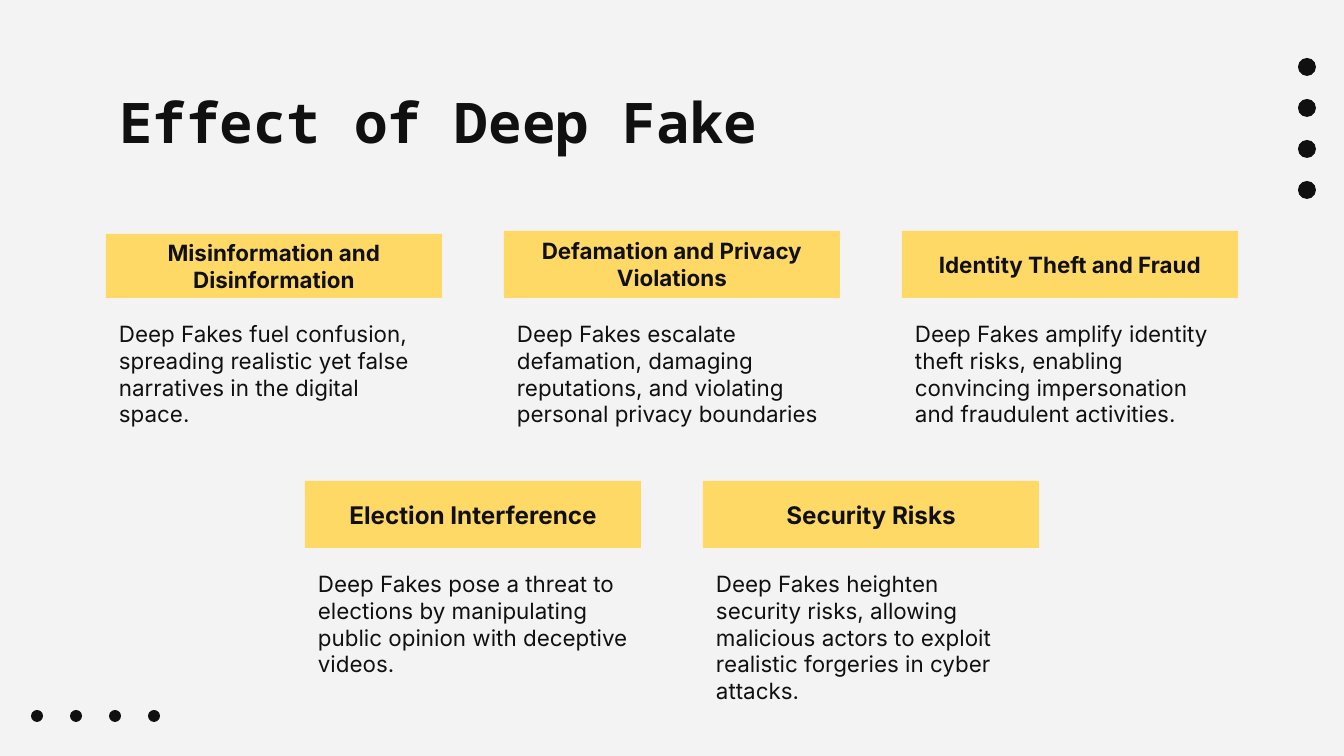
"""Build the slide on the effects of deep fakes."""
from dataclasses import dataclass

from pptx import Presentation
from pptx.dml.color import RGBColor
from pptx.enum.shapes import MSO_SHAPE
from pptx.enum.text import MSO_ANCHOR, MSO_AUTO_SIZE, PP_ALIGN
from pptx.util import Pt

TITLE = "Effect of Deep Fake"
ROWS = [
    {"left": 106, "bottom": 298, "heading_size": 12, "cards": [
        ("Misinformation and Disinformation", 64,
         "Deep Fakes fuel confusion, spreading realistic yet false narratives in the digital space."),
        ("Defamation and Privacy Violations", 67,
         "Deep Fakes escalate defamation, damaging reputations, and violating personal privacy boundaries"),
        ("Identity Theft and Fraud", 67,
         "Deep Fakes amplify identity theft risks, enabling convincing impersonation and fraudulent activities."),
    ]},
    {"left": 305, "bottom": 548, "heading_size": 13, "cards": [
        ("Election Interference", 67,
         "Deep Fakes pose a threat to elections by manipulating public opinion with deceptive videos."),
        ("Security Risks", 67,
         "Deep Fakes heighten security risks, allowing malicious actors to exploit realistic forgeries in cyber attacks."),
    ]},
]
DOT_ROWS = [
    {"left": 31, "top": 710, "size": 12, "step_x": 39, "step_y": 0},
    {"left": 1298, "top": 58, "size": 18, "step_x": 0, "step_y": 41},
]
DOT_COUNT = 4
CARD_WIDTH, CARD_STEP = 336, 398
BODY_GAP, BODY_HEIGHT = 9, 140
INSET = 13


@dataclass(frozen=True)
class Theme:
    """Colours, fonts and type sizes."""
    background: RGBColor = RGBColor.from_string("F3F3F3")
    ink: RGBColor = RGBColor.from_string("111010")
    accent: RGBColor = RGBColor.from_string("FFD966")
    title_font: str = "Noto Sans Mono"
    text_font: str = "Inter"
    title_size: int = 30
    body_size: int = 12


THEME = Theme()


def px(value):
    """Turn pixels into EMU."""
    return round(value * 914400 / 134.4)


def box(left, top, width, height):
    """Turn a pixel rectangle into EMU."""
    return [px(value) for value in (left, top, width, height)]


def write(shape, text, *, size, font=THEME.text_font, bold=False,
          align=PP_ALIGN.LEFT, anchor=MSO_ANCHOR.TOP, top_inset=INSET):
    """Put formatted text into a shape."""
    frame = shape.text_frame
    frame.word_wrap = True
    frame.auto_size = MSO_AUTO_SIZE.NONE
    frame.vertical_anchor = anchor
    frame.margin_left = frame.margin_right = frame.margin_bottom = px(INSET)
    frame.margin_top = px(top_inset)
    paragraph = frame.paragraphs[0]
    paragraph.alignment = align
    run = paragraph.add_run()
    run.text = text
    run.font.name = font
    run.font.size = Pt(size)
    run.font.bold = bold
    run.font.color.rgb = THEME.ink


def add_filled(slide, kind, bounds, color):
    """Add a flat shape without outline or shadow."""
    shape = slide.shapes.add_shape(kind, *bounds)
    shape.shadow.inherit = False
    shape.fill.solid()
    shape.fill.fore_color.rgb = color
    shape.line.fill.background()
    return shape


def add_dots(slide, left, top, size, step_x, step_y):
    """Add a line of evenly spaced dots."""
    for index in range(DOT_COUNT):
        bounds = box(left + index * step_x, top + index * step_y, size, size)
        add_filled(slide, MSO_SHAPE.OVAL, bounds, THEME.ink)


def add_title(slide):
    """Place and fill the title placeholder."""
    title = slide.shapes.title
    title.left, title.top, title.width, title.height = box(106, 78, 1133, 85)
    write(title, TITLE, size=THEME.title_size, font=THEME.title_font,
          bold=True, top_inset=10)


def add_cards(slide, left, bottom, heading_size, cards):
    """Add a row of headings with the text below each."""
    for index, (heading, height, body) in enumerate(cards):
        card_left = left + index * CARD_STEP
        banner = add_filled(slide, MSO_SHAPE.RECTANGLE,
                            box(card_left, bottom - height, CARD_WIDTH, height), THEME.accent)
        write(banner, heading, size=heading_size, bold=True,
              align=PP_ALIGN.CENTER, anchor=MSO_ANCHOR.MIDDLE)
        text_box = slide.shapes.add_textbox(
            *box(card_left, bottom + BODY_GAP, CARD_WIDTH, BODY_HEIGHT))
        write(text_box, body, size=THEME.body_size)


def main():
    """Create and save the presentation."""
    presentation = Presentation()
    presentation.slide_width, presentation.slide_height = px(1344), px(756)
    slide = presentation.slides.add_slide(presentation.slide_layouts.get_by_name("Title Only"))
    slide.background.fill.solid()
    slide.background.fill.fore_color.rgb = THEME.background
    for dots in DOT_ROWS:
        add_dots(slide, **dots)
    add_title(slide)
    for row in ROWS:
        add_cards(slide, **row)
    presentation.save("out.pptx")


if __name__ == "__main__":
    main()
